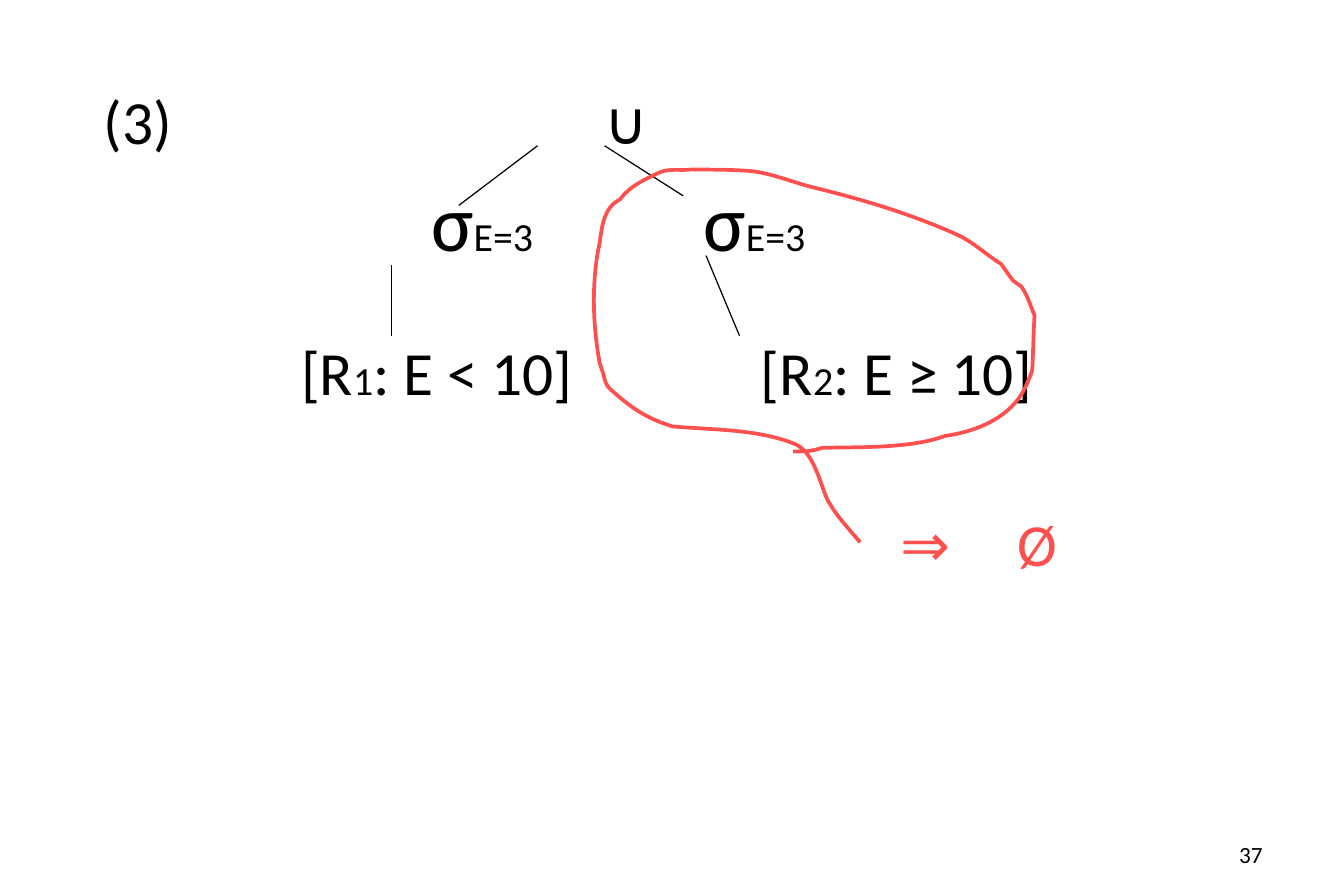
"""Build the slide that simplifies a union of selections over two fragments."""
from dataclasses import dataclass

from lxml import etree
from pptx import Presentation
from pptx.dml.color import RGBColor
from pptx.enum.shapes import MSO_CONNECTOR
from pptx.enum.text import MSO_ANCHOR, PP_ALIGN
from pptx.oxml.ns import qn
from pptx.util import Inches, Pt

STRAIGHT = MSO_CONNECTOR.STRAIGHT
TOP = MSO_ANCHOR.TOP
MIDDLE = MSO_ANCHOR.MIDDLE
LEFT = PP_ALIGN.LEFT
RIGHT = PP_ALIGN.RIGHT


@dataclass(frozen=True)
class Theme:
    """Hold the colours, font, type sizes and line widths."""

    ink: RGBColor = RGBColor(0x00, 0x00, 0x00)
    accent: RGBColor = RGBColor(0xFF, 0x50, 0x50)
    font: str = "Calibri"
    sigma: int = 48
    body: int = 37
    symbol: int = 36
    subscript: int = 24
    page: int = 14
    branch: float = 0.75
    stroke: float = 2.25


@dataclass(frozen=True)
class Line:
    """Hold the (text, size) pieces, tab stops and space before of one line."""

    pieces: tuple
    tabs: tuple = ()
    space_before: float = 0


THEME = Theme()

SELECTION = (("\tσ", THEME.sigma), ("E=3", THEME.subscript))


def fragment(number, condition):
    """Return the pieces that name a fragment and its condition."""
    return (("\t[R", THEME.body), (number, THEME.subscript),
            (f": E {condition} 10]", THEME.body))


TREE_LINES = [
    Line((("(3)", THEME.body), ("\t∪", THEME.symbol)), (4.19,)),
    Line(SELECTION * 2, (2.74, 5.02), 9),
    Line(fragment("1", "<") + fragment("2", "≥"), (1.65, 5.5), 40),
]
RESULT_LINES = [Line((("⇒\tØ", THEME.symbol),), (0.98,))]
PAGE_LINES = [Line((("37", THEME.page),))]

BRANCHES = [
    ((4.5, 1.22), (3.84, 1.72)),
    ((5.06, 1.22), (5.72, 1.64)),
    ((3.28, 2.22), (3.28, 2.81)),
    ((5.91, 2.14), (6.19, 2.81)),
]

LASSO_START = (7.2, 4.54)
LASSO_CURVES = [
    ((7.1, 4.42), (6.99, 4.31), (6.92, 4.17)),
    ((6.86, 4.03), (6.81, 3.79), (6.66, 3.72)),
    ((6.35, 3.59), (5.96, 3.6), (5.63, 3.57)),
    ((5.4, 3.5), (5.28, 3.41), (5.11, 3.26)),
    ((5.07, 3.23), (5.06, 3.17), (5.05, 3.13)),
    ((5.04, 3.1), (5.02, 3.04), (5.02, 3.04)),
    ((4.96, 2.71), (4.95, 2.36), (5.02, 2.03)),
    ((5.04, 1.9), (5.05, 1.74), (5.19, 1.67)),
    ((5.27, 1.56), (5.4, 1.5), (5.53, 1.44)),
    ((5.61, 1.41), (5.7, 1.43), (5.78, 1.42)),
    ((5.94, 1.42), (6.09, 1.42), (6.25, 1.43)),
    ((6.44, 1.44), (6.64, 1.53), (6.81, 1.57)),
    ((7.22, 1.67), (7.62, 1.79), (8, 1.96)),
    ((8.14, 2.02), (8.25, 2.13), (8.38, 2.21)),
    ((8.4, 2.24), (8.45, 2.31), (8.48, 2.35)),
    ((8.5, 2.37), (8.53, 2.38), (8.55, 2.4)),
    ((8.61, 2.49), (8.62, 2.55), (8.66, 2.64)),
    ((8.65, 2.79), (8.65, 2.94), (8.64, 3.1)),
    ((8.64, 3.11), (8.59, 3.23), (8.58, 3.25)),
    ((8.46, 3.49), (8.19, 3.61), (7.91, 3.65)),
    ((7.61, 3.76), (7.17, 3.74), (6.88, 3.75)),
    ((6.79, 3.78), (6.74, 3.78), (6.64, 3.78)),
]


def set_tabs(paragraph, positions):
    """Give a paragraph left tab stops at the positions in inches."""
    properties = paragraph._p.get_or_add_pPr()
    tab_list = etree.SubElement(properties, qn("a:tabLst"))
    for position in positions:
        etree.SubElement(tab_list, qn("a:tab"), pos=str(Inches(position)), algn="l")


def add_text(slide, box, lines, color=THEME.ink, align=LEFT, anchor=TOP):
    """Add a text box with one paragraph for each line."""
    shape = slide.shapes.add_textbox(*(Inches(value) for value in box))
    frame = shape.text_frame
    frame.word_wrap = True
    frame.vertical_anchor = anchor
    frame.margin_left = frame.margin_right = Inches(0.12)
    frame.margin_top = frame.margin_bottom = Inches(0.06)
    for index, line in enumerate(lines):
        paragraph = frame.add_paragraph() if index else frame.paragraphs[0]
        paragraph.alignment = align
        paragraph.space_before = Pt(line.space_before)
        if line.tabs:
            set_tabs(paragraph, line.tabs)
        for text, size in line.pieces:
            run = paragraph.add_run()
            run.text = text
            run.font.name = THEME.font
            run.font.size = Pt(size)
            run.font.color.rgb = color


def add_branch(slide, start, end):
    """Add a thin line between two nodes of the tree."""
    branch = slide.shapes.add_connector(
        STRAIGHT, *(Inches(value) for value in start + end))
    branch.line.color.rgb = THEME.ink
    branch.line.width = Pt(THEME.branch)
    etree.SubElement(branch._element.spPr, qn("a:effectLst"))


def bend_segments(shape):
    """Merge each three straight segments of an outline into one cubic curve."""
    outline = next(shape._element.iter(qn("a:path")))
    segments = outline.findall(qn("a:lnTo"))
    for index in range(0, len(segments), 3):
        curve = etree.SubElement(outline, qn("a:cubicBezTo"))
        for segment in segments[index:index + 3]:
            curve.append(segment[0])
            outline.remove(segment)


def add_lasso(slide):
    """Add the hand-drawn loop around the branch that is empty."""
    builder = slide.shapes.build_freeform(
        *(Inches(value) for value in LASSO_START))
    points = [(Inches(x), Inches(y)) for curve in LASSO_CURVES for x, y in curve]
    builder.add_line_segments(points, close=False)
    lasso = builder.convert_to_shape()
    bend_segments(lasso)
    lasso.shadow.inherit = False
    lasso.fill.background()
    lasso.line.color.rgb = THEME.accent
    lasso.line.width = Pt(THEME.stroke)


def main():
    """Build and save the slide."""
    presentation = Presentation()
    presentation.slide_width = Inches(11.25)
    presentation.slide_height = Inches(7.5)
    slide = presentation.slides.add_slide(presentation.slide_layouts[6])
    add_text(slide, (0.75, 0.64, 9.56, 4.5), TREE_LINES)
    for start, end in BRANCHES:
        add_branch(slide, start, end)
    add_text(slide, (7.42, 4.19, 1.6, 0.71), RESULT_LINES, THEME.accent, anchor=MIDDLE)
    add_lasso(slide)
    add_text(slide, (8.07, 6.95, 2.62, 0.4), PAGE_LINES, align=RIGHT, anchor=MIDDLE)
    presentation.save("out.pptx")


if __name__ == "__main__":
    main()
